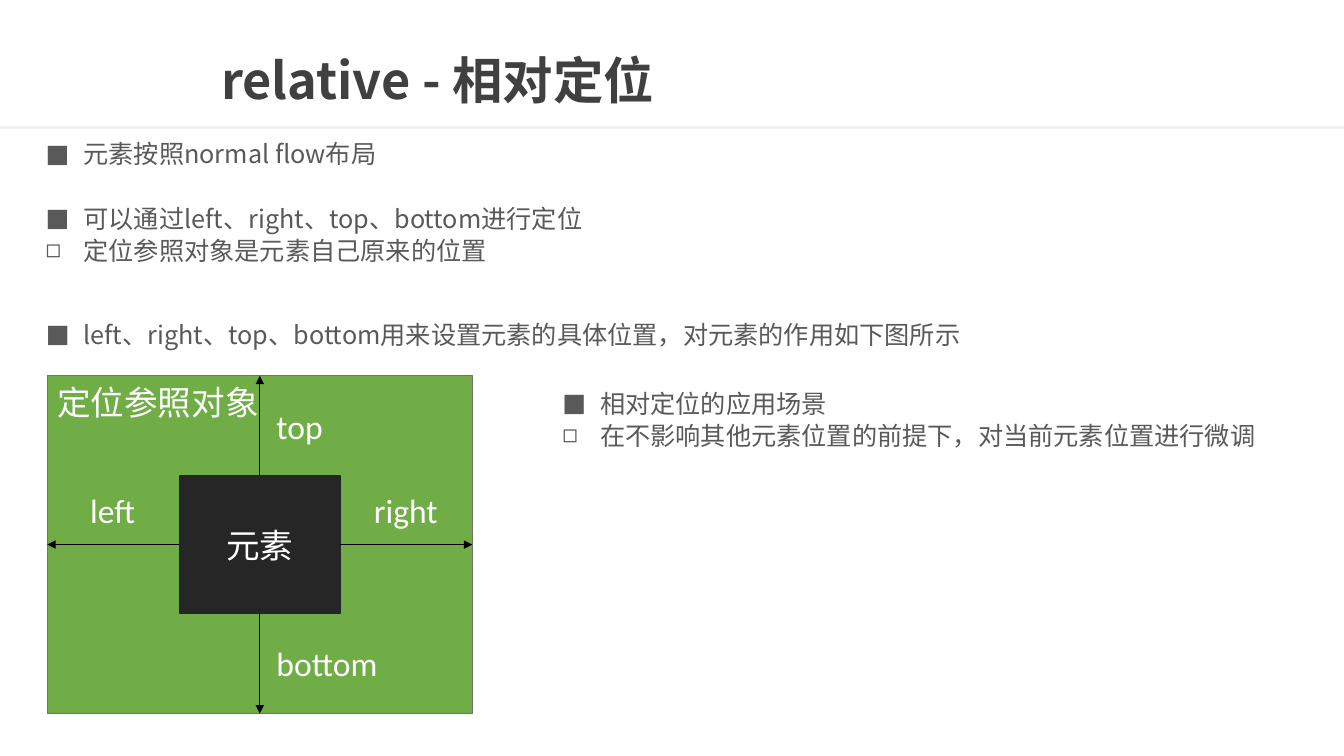
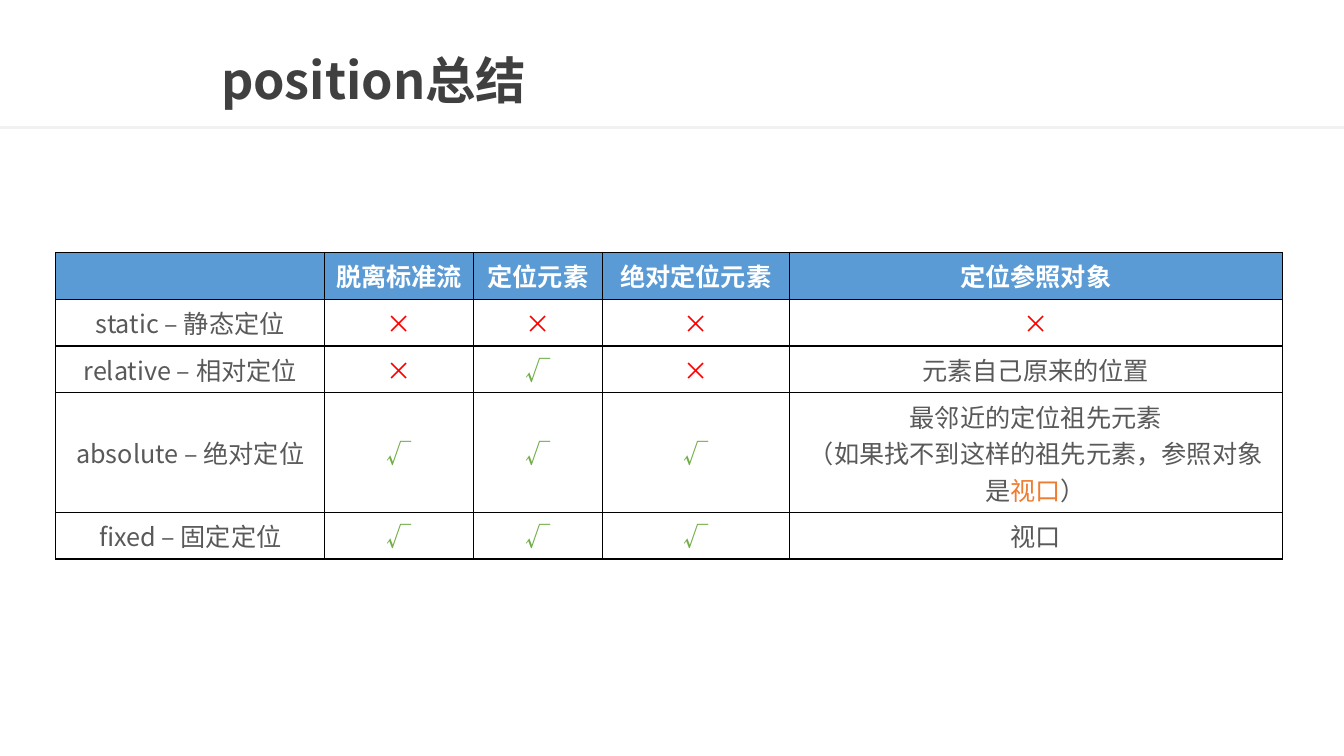
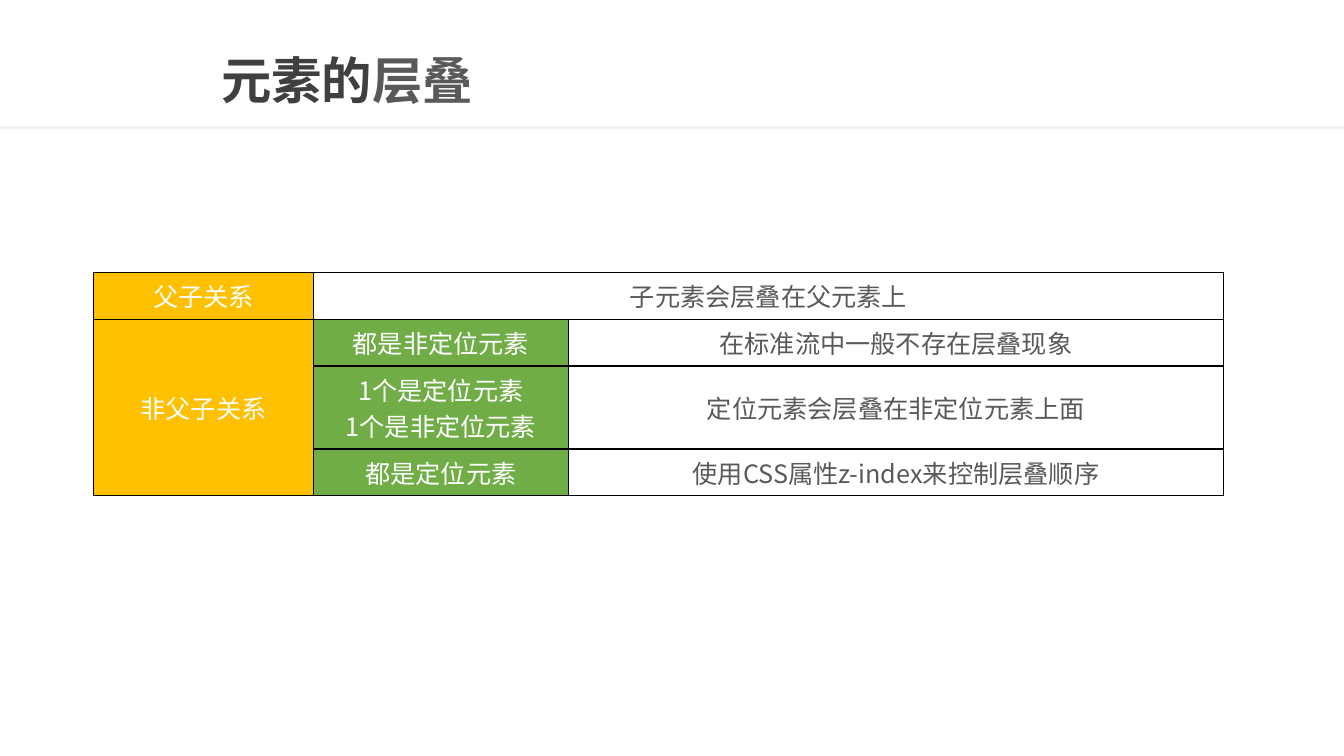
"""Build three slides on CSS positioning and stacking."""
from pptx import Presentation
from pptx.dml.color import RGBColor
from pptx.enum.shapes import MSO_CONNECTOR, MSO_SHAPE
from pptx.enum.text import MSO_ANCHOR, MSO_AUTO_SIZE, PP_ALIGN
from pptx.oxml.ns import qn
from pptx.util import Pt
from lxml.etree import SubElement

COLORS = {
    "white": "FFFFFF", "black": "000000", "rule": "F1F1F1",
    "title": "404040", "text": "595959", "blue": "5B9BD5",
    "green": "70AD47", "gold": "FFC000", "orange": "ED7D31",
    "red": "FF0000", "dark": "262626", "panel_line": "767171",
}
CJK_FONT = "Noto Sans CJK SC"
FORMATS = {
    "title": {"size": Pt(36), "bold": True, "name": CJK_FONT},
    "body": {"size": Pt(18), "bold": False, "name": CJK_FONT},
    "header": {"size": Pt(18), "bold": True, "name": "Calibri"},
    "label": {"size": Pt(24), "bold": False, "name": "Calibri"},
}
BULLETS = {"main": "■", "detail": "◻"}
SLIDE_WIDTH, SLIDE_HEIGHT = 960, 540
ROW_HEIGHT, EXTRA_LINE = 33.4, 26
INDENT = 27
YES, NO = ("√", "green"), ("×", "red")


def rgb(color):
    return RGBColor.from_string(COLORS[color])


def add_run(paragraph, text, style, color):
    run = paragraph.add_run()
    run.text = text
    run.font.color.rgb = rgb(color)
    for name, value in FORMATS[style].items():
        setattr(run.font, name, value)
    SubElement(run.font._element, qn("a:ea"), typeface=CJK_FONT)


def write_lines(frame, lines, style, alignment=PP_ALIGN.LEFT):
    for index, runs in enumerate(lines):
        paragraph = frame.paragraphs[0] if index == 0 else frame.add_paragraph()
        paragraph.alignment = alignment
        for text, color in runs:
            add_run(paragraph, text, style, color)


def add_text(slide, box, lines, style):
    frame = slide.shapes.add_textbox(*map(Pt, box)).text_frame
    frame.word_wrap = True
    write_lines(frame, lines, style)
    return frame


def add_label(slide, box, text):
    frame = add_text(slide, box, [[(text, "white")]], "label")
    frame.word_wrap = False
    frame.auto_size = MSO_AUTO_SIZE.SHAPE_TO_FIT_TEXT


def add_rectangle(slide, box, fill, line=None):
    shape = slide.shapes.add_shape(MSO_SHAPE.RECTANGLE, *map(Pt, box))
    shape.shadow.inherit = False
    shape.fill.solid()
    shape.fill.fore_color.rgb = rgb(fill)
    if line:
        shape.line.color.rgb = rgb(line)
        shape.line.width = Pt(1)
    else:
        shape.line.fill.background()
    return shape


def add_bullets(slide, box, items, spacing):
    lines = [[(text, "text")] for level, text, gap in items]
    frame = add_text(slide, box, lines, "body")
    for paragraph, (level, text, gap) in zip(frame.paragraphs, items):
        paragraph.line_spacing = Pt(spacing)
        paragraph.space_after = Pt(gap)
        properties = paragraph._p.get_or_add_pPr()
        properties.set("marL", str(Pt(INDENT)))
        properties.set("indent", str(-Pt(INDENT)))
        SubElement(properties, qn("a:buFont"), typeface="Calibri")
        SubElement(properties, qn("a:buChar"), char=BULLETS[level])


def add_arrow(slide, inner, outer, side):
    connector = slide.shapes.add_connector(MSO_CONNECTOR.STRAIGHT, 0, 0, 0, 0)
    connector.begin_connect(inner, side)
    connector.end_connect(outer, side)
    connector.line.color.rgb = rgb("black")
    connector.line.width = Pt(0.5)
    SubElement(connector.line._get_or_add_ln(), qn("a:tailEnd"), type="triangle")
    SubElement(connector._element.spPr, qn("a:effectLst"))


def set_borders(cell):
    properties = cell._tc.get_or_add_tcPr()
    for side in ("lnL", "lnR", "lnT", "lnB"):
        border = SubElement(properties, qn(f"a:{side}"), w=str(Pt(1)))
        fill = SubElement(border, qn("a:solidFill"))
        SubElement(fill, qn("a:srgbClr"), val=COLORS["black"])


def add_table(slide, left, top, widths, rows, line_counts):
    heights = [ROW_HEIGHT + EXTRA_LINE * (count - 1) for count in line_counts]
    frame = slide.shapes.add_table(
        len(rows), len(widths), Pt(left), Pt(top),
        Pt(sum(widths)), Pt(sum(heights)))
    table = frame.table
    table.first_row = table.horz_banding = False
    for column, width in zip(table.columns, widths):
        column.width = Pt(width)
    for row, height in zip(table.rows, heights):
        row.height = Pt(height)
    for row_index, row in enumerate(rows):
        for column_index, (lines, style, fill) in enumerate(row):
            cell = table.cell(row_index, column_index)
            cell.vertical_anchor = MSO_ANCHOR.MIDDLE
            set_borders(cell)
            cell.fill.solid()
            cell.fill.fore_color.rgb = rgb(fill)
            write_lines(cell.text_frame, lines, style, PP_ALIGN.CENTER)
    return table


def header(text):
    return ([[(text, "white")]] if text else [], "header", "blue")


def plain(*runs):
    return ([list(runs)], "body", "white")


def words(text):
    return plain((text, "text"))


def filled(fill, *texts):
    return ([[(text, "white")] for text in texts], "body", fill)


def blank(fill="white"):
    return ([], "body", fill)


def add_page(presentation, *title_runs):
    slide = presentation.slides.add_slide(presentation.slide_layouts[6])
    add_rectangle(slide, (0, 90, SLIDE_WIDTH, 2), "rule")
    frame = add_text(slide, (150.8, 31.6, 794, 56), [title_runs], "title")
    frame.vertical_anchor = MSO_ANCHOR.MIDDLE
    frame.paragraphs[0].line_spacing = 0.9
    return slide


def add_offset_diagram(slide):
    left, top, width, height = 33.8, 268.4, 303.6, 241.2
    inner_width, inner_height = 115, 98
    panel = add_rectangle(slide, (left, top, width, height), "green", "panel_line")
    panel.text_frame.vertical_anchor = MSO_ANCHOR.TOP
    panel.text_frame.margin_top = Pt(4.4)
    write_lines(panel.text_frame, [[("定位参照对象", "white")]], "label")

    element = add_rectangle(
        slide,
        (left + (width - inner_width) / 2, top + (height - inner_height) / 2,
         inner_width, inner_height), "dark", "dark")
    element.text_frame.vertical_anchor = MSO_ANCHOR.MIDDLE
    write_lines(element.text_frame, [[("元素", "white")]], "label", PP_ALIGN.CENTER)

    for side in range(4):
        add_arrow(slide, element, panel, side)
    for text, x, y, label_width in (
            ("left", 57.4, 346.3, 47.5), ("right", 260, 346.3, 60.5),
            ("top", 190.4, 286.2, 47.5), ("bottom", 190.4, 455.8, 87.8)):
        add_label(slide, (x, y, label_width, 36), text)


def build_relative(presentation):
    slide = add_page(presentation, ("relative - 相对定位", "title"))
    add_bullets(slide, (25.6, 94, 906, 103), [
        ("main", "元素按照normal flow布局", 23),
        ("main", "可以通过left、right、top、bottom进行定位", 0),
        ("detail", "定位参照对象是元素自己原来的位置", 0),
    ], 23)
    add_bullets(slide, (25.6, 221, 804, 39), [
        ("main", "left、right、top、bottom用来设置元素的具体位置，对元素的作用如下图所示", 0),
    ], 25)
    add_offset_diagram(slide)
    add_bullets(slide, (394.6, 272.2, 518.4, 103.7), [
        ("main", "相对定位的应用场景", 0),
        ("detail", "在不影响其他元素位置的前提下，对当前元素位置进行微调", 0),
    ], 23)


def build_summary(presentation):
    slide = add_page(presentation, ("position总结", "title"))
    nearest = ([
        [("最邻近的定位祖先元素", "text")],
        [("（如果找不到这样的祖先元素，参照对象是", "text"),
         ("视口", "orange"), ("）", "text")],
    ], "body", "white")
    titles = ("", "脱离标准流", "定位元素", "绝对定位元素", "定位参照对象")
    records = (
        ("static – 静态定位", (NO, NO, NO), plain(NO)),
        ("relative – 相对定位", (NO, YES, NO), words("元素自己原来的位置")),
        ("absolute – 绝对定位", (YES, YES, YES), nearest),
        ("fixed – 固定定位", (YES, YES, YES), words("视口")),
    )
    rows = [[header(title) for title in titles]]
    for name, marks, reference in records:
        rows.append([words(name), *map(plain, marks), reference])
    add_table(slide, 39.8, 180.4, (192.2, 106.2, 92, 133.7, 352), rows,
              (1, 1, 1, 3, 1))


def build_stacking(presentation):
    slide = add_page(presentation, ("元素的", "title"), ("层叠", "text"))
    table = add_table(slide, 66.8, 194.6, (157, 182.2, 468), [
        [filled("gold", "父子关系"), words("子元素会层叠在父元素上"), blank()],
        [filled("gold", "非父子关系"), filled("green", "都是非定位元素"),
         words("在标准流中一般不存在层叠现象")],
        [blank("gold"), filled("green", "1个是定位元素", "1个是非定位元素"),
         words("定位元素会层叠在非定位元素上面")],
        [blank("gold"), filled("green", "都是定位元素"),
         words("使用CSS属性z-index来控制层叠顺序")],
    ], (1, 1, 2, 1))
    table.cell(0, 1).merge(table.cell(0, 2))
    table.cell(1, 0).merge(table.cell(3, 0))


def main():
    presentation = Presentation()
    presentation.slide_width = Pt(SLIDE_WIDTH)
    presentation.slide_height = Pt(SLIDE_HEIGHT)
    build_relative(presentation)
    build_summary(presentation)
    build_stacking(presentation)
    presentation.save("out.pptx")


if __name__ == "__main__":
    main()
